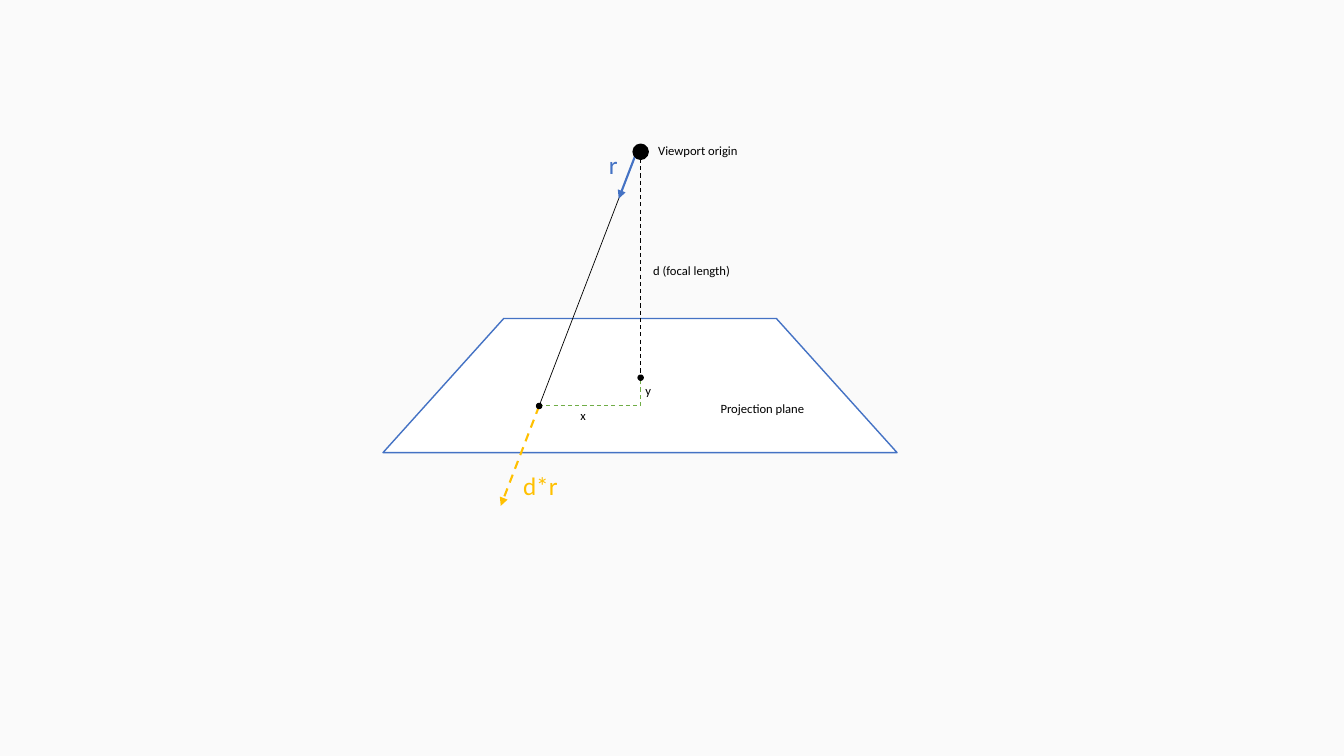
from lxml import etree
from pptx import Presentation
from pptx.dml.color import RGBColor
from pptx.enum.dml import MSO_LINE
from pptx.enum.shapes import MSO_CONNECTOR, MSO_SHAPE
from pptx.enum.text import MSO_AUTO_SIZE, PP_ALIGN
from pptx.oxml.ns import qn
from pptx.util import Pt

STRAIGHT = MSO_CONNECTOR.STRAIGHT
DASH = MSO_LINE.DASH
TRAPEZOID, OVAL = MSO_SHAPE.TRAPEZOID, MSO_SHAPE.OVAL
LEFT, CENTER = PP_ALIGN.LEFT, PP_ALIGN.CENTER
FIT_SHAPE = MSO_AUTO_SIZE.SHAPE_TO_FIT_TEXT

BACKGROUND, WHITE, BLACK = "FAFAFA", "FFFFFF", "000000"
BLUE, GREEN, GOLD = "4472C4", "70AD47", "FFC000"
FONT = "Calibri"
BLANK_LAYOUT = 6


def color(hex_string):
    return RGBColor.from_string(hex_string)


def add_filled_shape(slide, kind, left, top, width, height, fill, line):
    shape = slide.shapes.add_shape(kind, Pt(left), Pt(top), Pt(width), Pt(height))
    shape.shadow.inherit = False
    shape.fill.solid()
    shape.fill.fore_color.rgb = color(fill)
    shape.line.color.rgb = color(line)
    shape.line.width = Pt(1)
    return shape


def add_dot(slide, center, diameter):
    x, y = center
    add_filled_shape(slide, OVAL, x - diameter / 2, y - diameter / 2,
                     diameter, diameter, BLACK, BLACK)


def add_line(slide, start, end, line=BLACK, width=0.75, dashed=False, arrow=False):
    connector = slide.shapes.add_connector(STRAIGHT, *map(Pt, (*start, *end)))
    connector.line.color.rgb = color(line)
    connector.line.width = Pt(width)
    if dashed:
        connector.line.dash_style = DASH
    if arrow:
        outline = connector.line._get_or_add_ln()
        etree.SubElement(outline, qn("a:tailEnd"), type="triangle")
    etree.SubElement(connector._element.spPr, qn("a:effectLst"))


def add_label(slide, text, left, top, width, height=18, size=9,
              font_color=BLACK, inset=7.2, alignment=LEFT):
    box = slide.shapes.add_textbox(Pt(left), Pt(top), Pt(width), Pt(height))
    frame = box.text_frame
    frame.word_wrap = True
    frame.auto_size = FIT_SHAPE
    frame.margin_left = frame.margin_right = Pt(inset)
    paragraph = frame.paragraphs[0]
    paragraph.alignment = alignment
    run = paragraph.add_run()
    run.text = text
    run.font.name = FONT
    run.font.size = Pt(size)
    run.font.color.rgb = color(font_color)


def along(start, end, fraction):
    """Return the point at a fraction of the way from start to end."""
    return tuple(a + fraction * (b - a) for a, b in zip(start, end))


def draw_projection(slide, left, top, width):
    """Draw the viewport origin, the ray and the projection plane."""
    def at(x, y):
        return left + x, top + y

    origin = at(width / 2 + 0.4, 10.4)
    foot = at(width / 2 + 0.4, 171.8)
    target = at(111.5, 192)
    corner = (foot[0], target[1])
    ray_start = at(180, 13.6)

    plane = add_filled_shape(slide, TRAPEZOID, *at(0, 129.5), width, 95.8, WHITE, BLUE)
    plane.adjustments[0] = 0.9

    add_line(slide, origin, foot, dashed=True)
    add_line(slide, ray_start, target, width=0.5)
    add_line(slide, target, corner, line=GREEN, dashed=True)
    add_line(slide, corner, foot, line=GREEN, dashed=True)
    add_line(slide, ray_start, along(ray_start, target, 0.17),
             line=BLUE, width=1.5, arrow=True)
    add_line(slide, target, along(ray_start, target, 1.4),
             line=GOLD, width=1.5, dashed=True, arrow=True)

    add_dot(slide, origin, 10.8)
    for point in (foot, target):
        add_dot(slide, point, 3.6)

    letter = {"width": 9.4, "inset": 0, "alignment": CENTER}
    add_label(slide, "x", *at(138.2, 190), **letter)
    add_label(slide, "y", *at(184.8, 172), **letter)
    add_label(slide, "r", *at(159.8, 5), height=28.8, size=18, font_color=BLUE, **letter)
    add_label(slide, "d*r", *at(92.9, 234.6), 46.8, 28.8, size=18, font_color=GOLD)
    for text, x, y in (("d (focal length)", 185.8, 86.3),
                       ("Viewport origin", 189.4, 0.6),
                       ("Projection plane", 234, 185)):
        add_label(slide, text, *at(x, y), 87)


def main():
    presentation = Presentation()
    presentation.slide_width, presentation.slide_height = Pt(960), Pt(540)
    slide = presentation.slides.add_slide(presentation.slide_layouts[BLANK_LAYOUT])
    slide.background.fill.solid()
    slide.background.fill.fore_color.rgb = color(BACKGROUND)
    draw_projection(slide, left=273.6, top=98, width=367.2)
    presentation.save("out.pptx")


if __name__ == "__main__":
    main()
